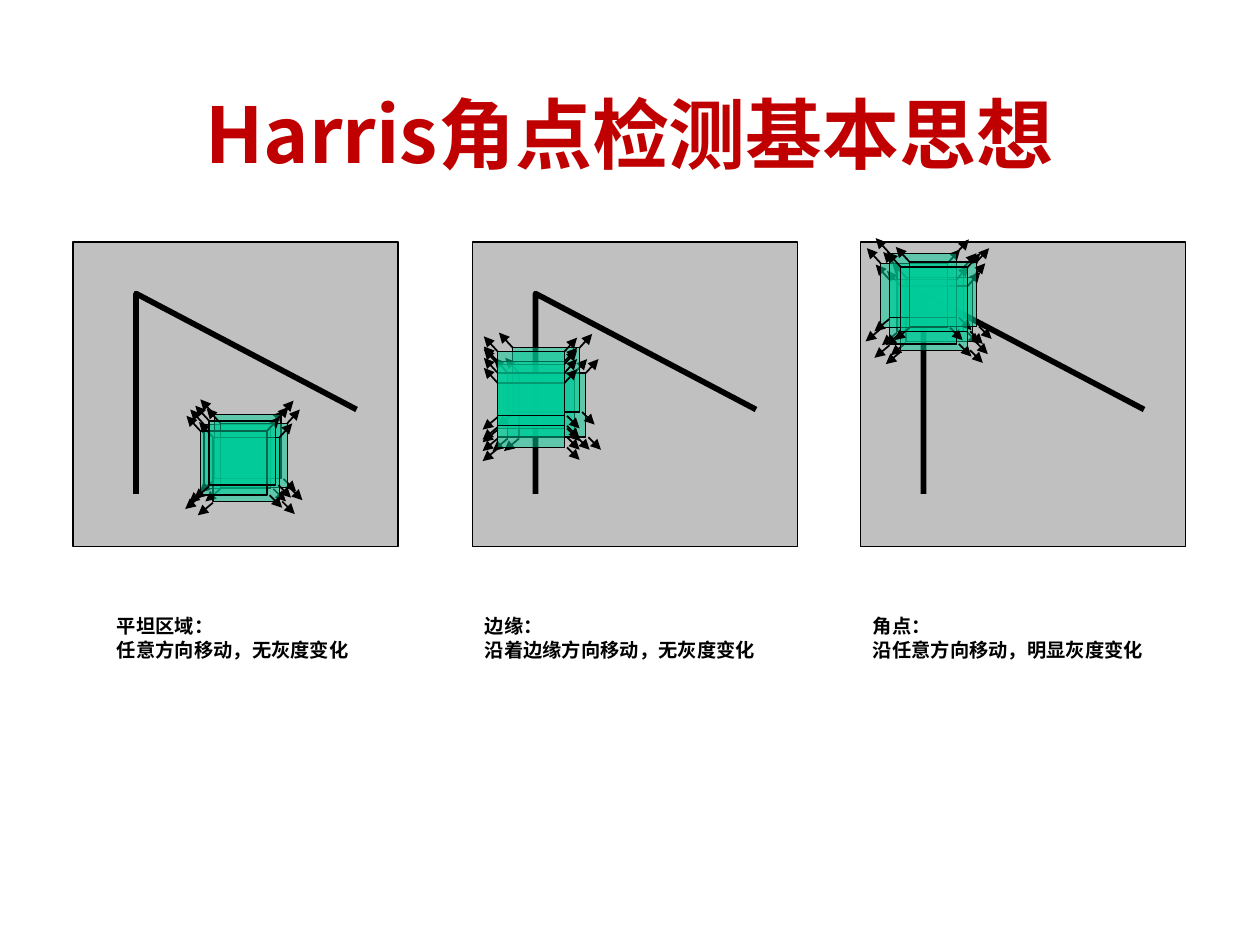
"""Draw the Harris corner idea: flat, edge and corner panels with sliding windows."""
from dataclasses import dataclass

from lxml import etree
from pptx import Presentation
from pptx import util as u
from pptx.dml.color import RGBColor
from pptx.enum import shapes, text
from pptx.oxml.ns import qn

COLS, ROWS = 1000, 750
FONT = "Noto Sans CJK SC"
BLACK, GREY, GREEN, RED = "000000", "C0C0C0", "00CC99", "C00000"
TOP, WIDE, HIGH = 192, 258, 242
WEDGE = [(50, 200), (50, 41), (225, 133)]
SIDE = (53, 51)
ARROWS = [
    ((53, 0), (63, -11)),
    ((55, 51), (65, 61)),
    ((0, 52), (-12, 62)),
    ((0, 0), (-11, -12)),
]


@dataclass
class Panel:
    """One case: its column, caption and window corners."""
    left: int
    note: str
    note_left: int
    note_wide: int
    spots: list[tuple[int, int]]


PANELS = [
    Panel(58, "平坦区域：\v任意方向移动，无灰度变化", 83, 225,
          [(162, 337), (170, 329), (175, 336), (169, 347), (159, 342), (166, 334)]),
    Panel(375, "边缘：\n沿着边缘方向移动，无灰度变化", 375, 267,
          [(403, 296), (412, 296), (407, 276), (395, 289),
           (395, 296), (395, 304), (395, 287), (395, 279)]),
    Panel(683, "角点：\n沿任意方向移动，明显灰度变化", 683, 267,
          [(712, 212), (719, 220), (715, 227), (706, 222),
           (699, 209), (706, 201), (722, 208), (715, 212)]),
]

deck = Presentation()
deck.slide_width, deck.slide_height = u.Inches(10), u.Inches(7.5)
slide = deck.slides.add_slide(deck.slide_layouts[6])


def x(col: float) -> int:
    """Turn a column into a length."""
    return round(deck.slide_width * col / COLS)


def y(row: float) -> int:
    """Turn a row into a length."""
    return round(deck.slide_height * row / ROWS)


def paint(fmt, tint: str) -> None:
    """Give a fill a solid hex colour."""
    fmt.solid()
    fmt.fore_color.rgb = RGBColor.from_string(tint)


def edge(shape, width: float) -> None:
    """Give a shape a black line."""
    paint(shape.line.fill, BLACK)
    shape.line.width = u.Pt(width)


def box(home, left: int, top: int, wide: int, high: int, tint: str):
    """Add a filled rectangle with a thin line."""
    rect = home.add_shape(shapes.MSO_SHAPE.RECTANGLE, x(left), y(top), x(wide), y(high))
    rect.shadow.inherit = False
    paint(rect.fill, tint)
    edge(rect, 0.75)
    return rect


def arrow(home, start: tuple[int, int], end: tuple[int, int]) -> None:
    """Add a line with a triangle at its end."""
    line = home.add_connector(shapes.MSO_CONNECTOR.STRAIGHT,
                              x(start[0]), y(start[1]), x(end[0]), y(end[1]))
    edge(line, 1)
    etree.SubElement(line.line._get_or_add_ln(), qn("a:tailEnd"), type="triangle")
    etree.SubElement(line._element.spPr, qn("a:effectLst"))


def window(left: int, top: int) -> None:
    """Add a half-clear window with an arrow at each corner."""
    home = slide.shapes.add_group_shape().shapes
    rect = box(home, left, top, *SIDE, GREEN)
    tint = rect._element.spPr.find(qn("a:solidFill"))[0]
    etree.SubElement(tint, qn("a:alpha"), val="50000")
    for start, end in ARROWS:
        arrow(home, (left + start[0], top + start[1]), (left + end[0], top + end[1]))


def wedge(left: int) -> None:
    """Add the bent line inside a panel."""
    first, *rest = [(x(left + col), y(TOP + row)) for col, row in WEDGE]
    path = slide.shapes.build_freeform(*first)
    path.add_line_segments(rest, close=False)
    bent = path.convert_to_shape()
    bent.shadow.inherit = False
    bent.fill.background()
    edge(bent, 3.25)


def label(words: str, left: int, top: int, wide: int, high: int, size: float,
          tint: str, pitch: float, side: text.PP_ALIGN) -> None:
    """Add bold text at a fixed line pitch."""
    frame = slide.shapes.add_textbox(x(left), y(top), x(wide), y(high)).text_frame
    frame.word_wrap = True
    frame.text = words
    for para in frame.paragraphs:
        para.alignment = side
        para.line_spacing = u.Pt(pitch)
        font = para.font
        font.name, font.size, font.bold = FONT, u.Pt(size), True
        paint(font.fill, tint)
        etree.SubElement(font._element, qn("a:ea"), typeface=FONT)


label("Harris角点检测基本思想", 50, 58, 900, 125, 44, RED, 57, text.PP_ALIGN.CENTER)
for panel in PANELS:
    box(slide.shapes, panel.left, TOP, WIDE, HIGH, GREY)
    wedge(panel.left)
    for spot in panel.spots:
        window(*spot)
    label(panel.note, panel.note_left, 483, panel.note_wide, 47, 11, BLACK, 13.2,
          text.PP_ALIGN.LEFT)

deck.save("out.pptx")
